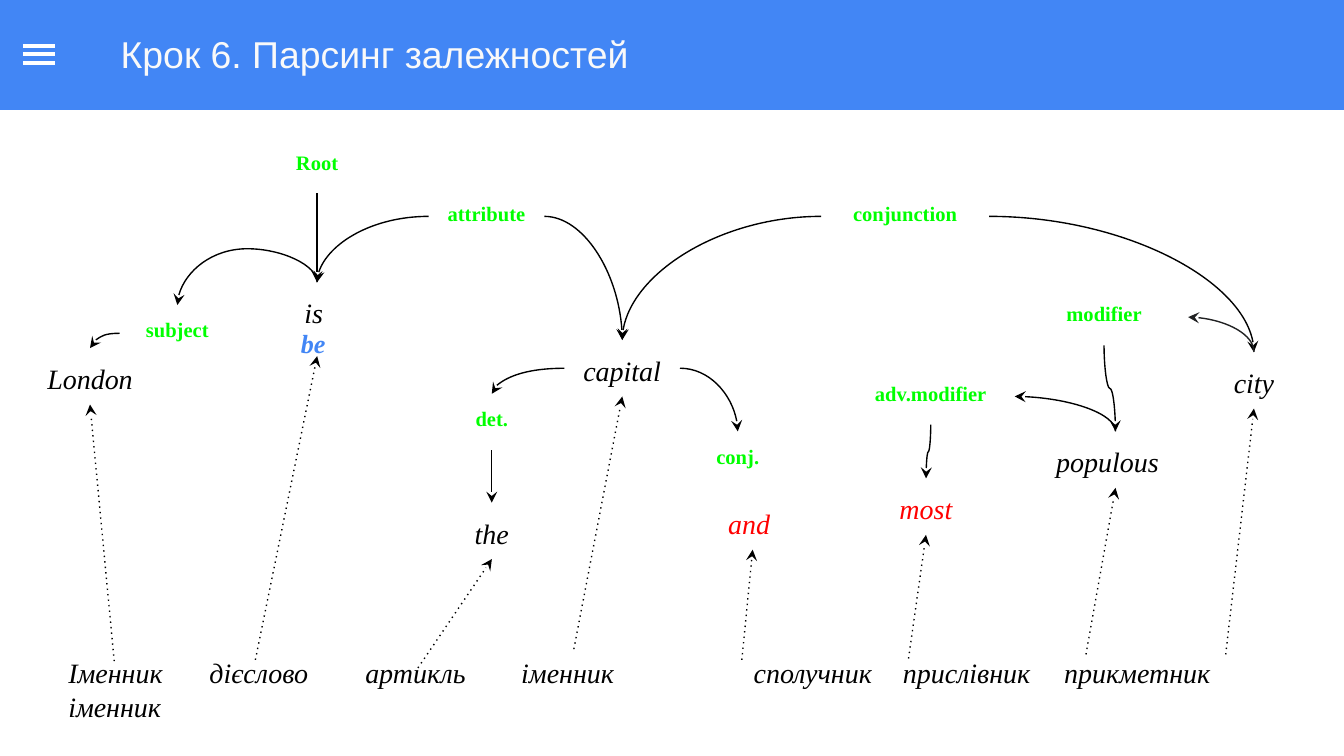
import pptx
import pptx.util
from lxml import etree
from pptx.dml.color import RGBColor
from pptx.enum.dml import MSO_LINE
from pptx.enum.shapes import MSO_CONNECTOR, MSO_SHAPE
from pptx.enum.text import MSO_ANCHOR, PP_ALIGN
from pptx.oxml.ns import qn

PX = 9144  # one px is 1/100 inch
TOP, LEFT, BOTTOM, RIGHT = range(4)

THEME = {
    "blue": "4286F5", "pale": "F9F9F9", "white": "FFFFFF", "ink": "000000",
    "soft": "202122", "red": "FF0000", "green": "00FF00",
    "title": {"size": 20, "name": "Arial"},
    "word": {"size": 15, "name": "Times New Roman", "italic": True},
    "lemma": {"size": 14, "name": "Times New Roman", "bold": True, "italic": True},
    "tag": {"size": 11, "name": "Times New Roman", "bold": True},
    "thin": 0.75, "thick": 2.25,
}

TITLE = "Крок 6. Парсинг залежностей"
MENU = (34, 40, 47)
# part of speech and its tab stop, counted from the left edge of the row text
SPEECH = [("Іменник", 0), ("дієслово", 105), ("артикль", 221), ("іменник", 337),
          ("сполучник", 510), ("прислівник", 621), ("прикметник", 741)]
LAST = "іменник"  # wraps to a second line

# text, left, top, width, colour
WORDS = [
    ("London ", 24, 259, 86, "ink"), ("is ", 193, 210, 86, "ink"),
    ("the", 323, 374, 86, "ink"), ("capital", 420, 253, 86, "ink"),
    ("and ", 517, 367, 86, "red"), ("most", 646, 356, 86, "red"),
    ("populous", 776, 321, 108, "ink"), ("city", 879, 262, 108, "ink"),
]
TAGS = [
    ("Root", 193, 102, 86), ("subject", 89, 227, 86), ("attribute", 319, 140, 86),
    ("det.", 323, 293, 86), ("conj.", 506, 321, 86), ("adv.modifier", 630, 274, 125),
    ("modifier", 759, 215, 125), ("conjunction", 611, 140, 125),
]
HIGH = 42

# start box, side, end box (its top side), arrowhead, colour
CURVES = [
    ("attribute", LEFT, "is", "tail", "ink"),
    ("attribute", RIGHT, "capital", "tail", "ink"),
    ("conjunction", LEFT, "capital", "tail", "ink"),
    ("conjunction", RIGHT, "city", "tail", "ink"),
    ("subject", LEFT, "London", "tail", "ink"),
    ("Root", BOTTOM, "is", "tail", "ink"),
    ("capital", RIGHT, "conj.", "tail", "ink"),
    ("capital", LEFT, "det.", "tail", "ink"),
    ("det.", BOTTOM, "the", "tail", "ink"),
    ("modifier", BOTTOM, "populous", "tail", "ink"),
    ("adv.modifier", BOTTOM, "most", "tail", "ink"),
    ("is", TOP, "subject", "tail", "ink"),
    ("modifier", RIGHT, "city", "head", "soft"),
    ("adv.modifier", RIGHT, "populous", "head", "ink"),
]
BEND = {("is", "subject"): -146400}
# start point of each dotted line, and the word it points to
DOTS = [(85, 492, "London"), (190, 491, "be"), (311, 497, "the"), (427, 483, "capital"),
        (552, 491, "and"), (676, 490, "most"), (808, 487, "populous"), (912, 487, "city")]

deck = pptx.Presentation()
deck.slide_width = 1000 * PX
deck.slide_height = deck.slide_width * 9 // 16
slide = deck.slides.add_slide(deck.slide_layouts[6])
boxes = {}


def emu(*vals):
    return [round(v * PX) for v in vals]


def rgb(key):
    return RGBColor.from_string(THEME[key])


def fit(obj, vals):
    for key, val in vals.items():
        setattr(obj, key, val)


def label(text, area, style, tint, align=PP_ALIGN.CENTER, anchor=MSO_ANCHOR.TOP):
    box = slide.shapes.add_textbox(*emu(*area))
    frame = box.text_frame
    fit(frame, {"word_wrap": True, "vertical_anchor": anchor,
                **{f"margin_{side}": 10 * PX for side in ("left", "top", "right", "bottom")}})
    para = frame.paragraphs[0]
    fit(para, {"text": text, "alignment": align})
    for run in para.runs:
        fit(run.font, {**THEME[style], "size": pptx.util.Pt(THEME[style]["size"])})
        run.font.color.rgb = rgb(tint)
    boxes[text.strip()] = box
    return para


def link(kind, ends, tint="ink", width="thin", arrow=None, dotted=False):
    line = slide.shapes.add_connector(kind, *emu(*ends))
    line.line.color.rgb = rgb(tint)
    line.line.width = pptx.util.Pt(THEME[width])
    props = line._element.spPr
    stroke = props.find(qn("a:ln"))
    if dotted:
        line.line.dash_style = MSO_LINE.ROUND_DOT
        stroke.find(qn("a:prstDash")).set("val", "dot")
    if arrow:
        etree.SubElement(stroke, qn(f"a:{arrow}End"), type="stealth")
    etree.SubElement(props, qn("a:effectLst"))
    return line


def spot(name, side):
    """Middle of one side of a named box, in px."""
    box = boxes[name]
    across, down = {TOP: (.5, 0), LEFT: (0, .5), BOTTOM: (.5, 1), RIGHT: (1, .5)}[side]
    return (box.left + box.width * across) / PX, (box.top + box.height * down) / PX


def curve(start, side, end, arrow, tint):
    """Leave sideways with one bend, or up or down with an S turned on its side."""
    (x1, y1), (x2, y2) = spot(start, side), spot(end, TOP)
    if side in (LEFT, RIGHT):
        line = link(MSO_CONNECTOR.CURVE, (x1, y1, x2, y2), tint, arrow=arrow)
        line._element.spPr.find(qn("a:prstGeom")).set("prst", "curvedConnector2")
        return
    midx, midy = (x1 + x2) / 2, (y1 + y2) / 2
    long, wide = (y2 - y1) / 2, abs(x2 - x1) / 2
    turn = 90 if x2 < x1 else 270
    if turn == 270:
        long = -long
    line = link(MSO_CONNECTOR.CURVE, (midx - long, midy - wide, midx + long, midy + wide),
                tint, arrow=arrow)
    props = line._element.spPr
    props.find(qn("a:xfrm")).set("rot", str(turn * 60000))
    if (start, end) in BEND:
        guides = props.find(qn("a:prstGeom")).find(qn("a:avLst"))
        etree.SubElement(guides, qn("a:gd"), name="adj1", fmla=f"val {BEND[start, end]}")


bar = slide.shapes.add_shape(MSO_SHAPE.RECTANGLE, *emu(0, -1, 1000, 82))
bar.shadow.inherit = False
bar.fill.solid()
bar.fill.fore_color.rgb = bar.line.color.rgb = rgb("blue")
bar.line.width = pptx.util.Pt(THEME["thin"])
label(TITLE, (80, 13, 886, 56), "title", "pale", PP_ALIGN.LEFT)
for y in MENU:
    link(MSO_CONNECTOR.STRAIGHT, (17, y, 41, y), "white", "thick")

row = label("\t".join(name for name, _ in SPEECH) + " " + LAST,
            (41, 478, 940, 56), "word", "ink", PP_ALIGN.LEFT)
stops = etree.SubElement(row._p.get_or_add_pPr(), qn("a:tabLst"))
for _, stop in SPEECH[1:]:
    etree.SubElement(stops, qn("a:tab"), pos=str(stop * PX), algn="l")

for text, x, y, width, tint in WORDS:
    align = PP_ALIGN.LEFT if text == "populous" else PP_ALIGN.CENTER
    label(text, (x, y, width, HIGH), "word", tint, align)
label("be", (214, 246, 44, 19), "lemma", "blue", PP_ALIGN.LEFT, MSO_ANCHOR.MIDDLE)
for text, x, y, width in TAGS:
    label(text, (x, y, width, HIGH), "tag", "green")

for item in CURVES:
    curve(*item)
for x, y, word in DOTS:
    line = link(MSO_CONNECTOR.STRAIGHT, (x, y, *spot(word, BOTTOM)), arrow="tail", dotted=True)
    line.end_connect(boxes[word], BOTTOM)

deck.save("out.pptx")
